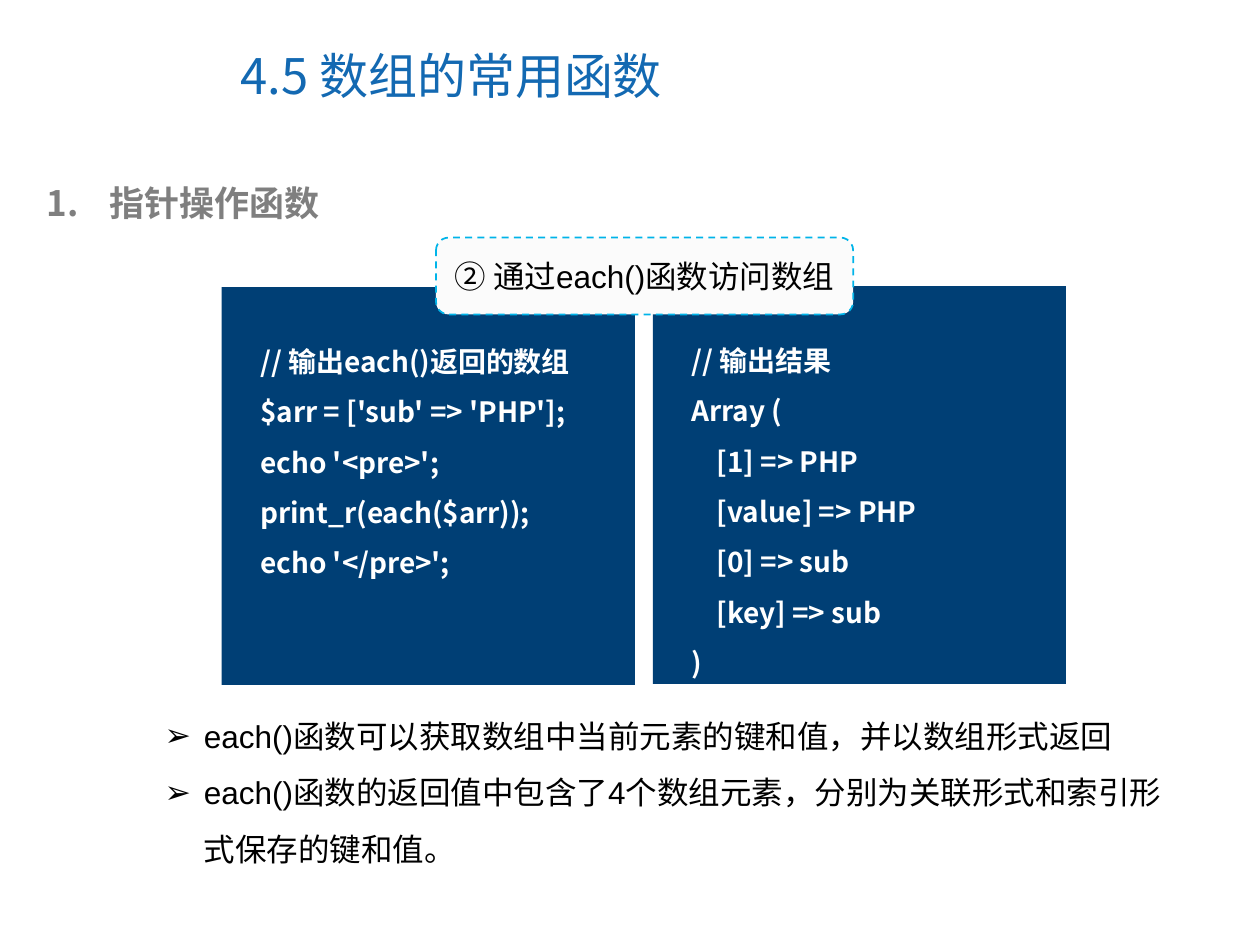
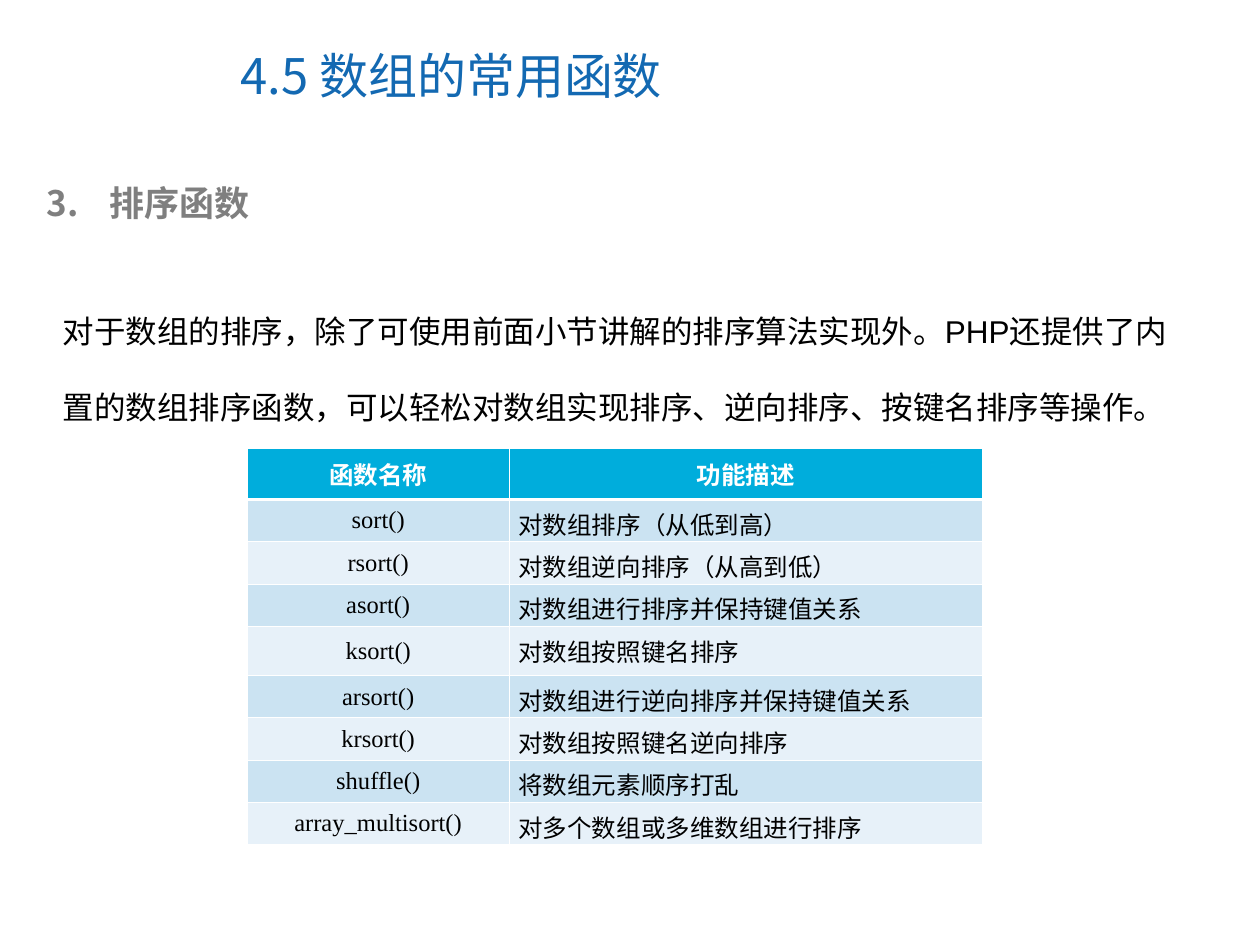
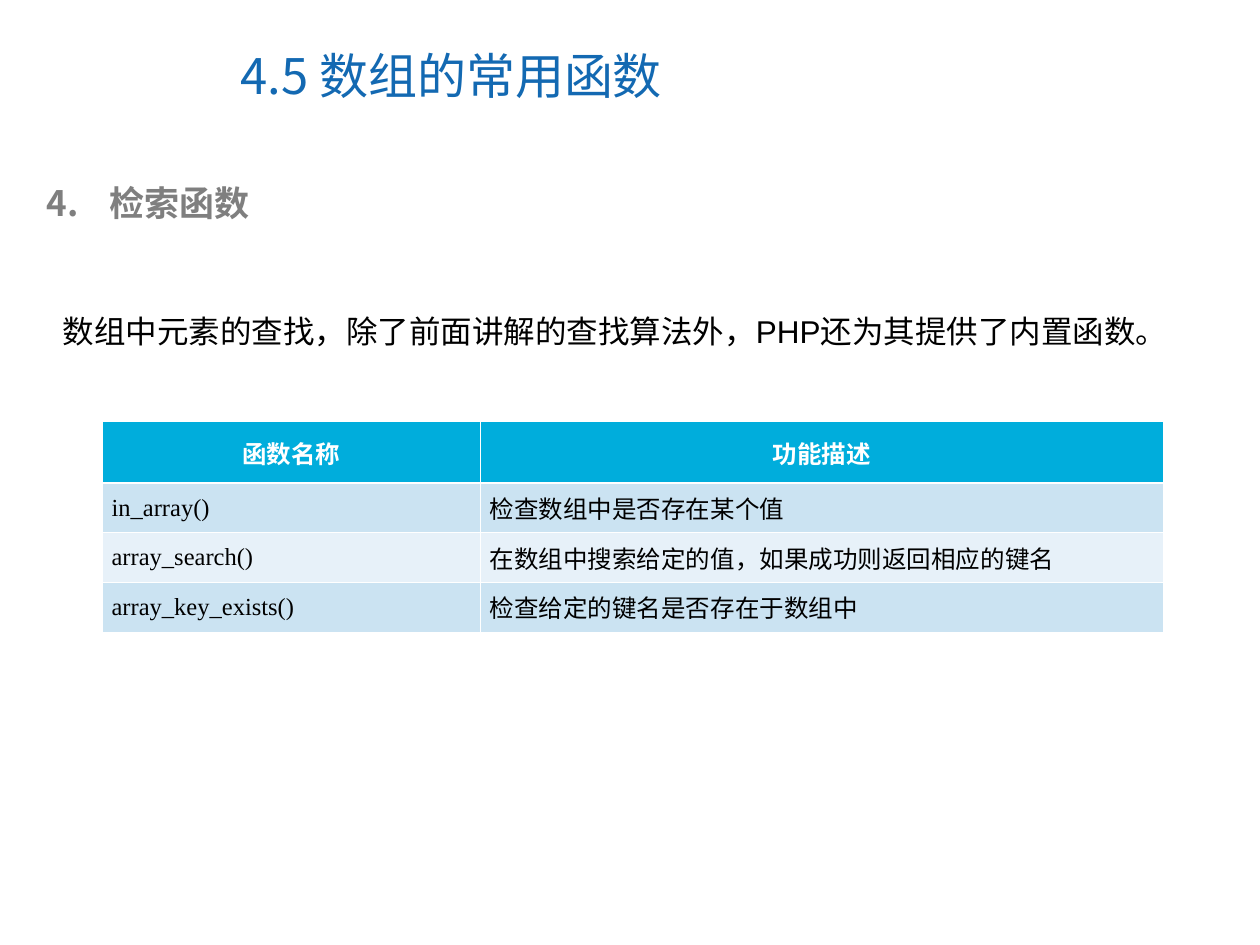
from lxml.etree import SubElement
from pptx import Presentation
from pptx.dml.color import RGBColor
from pptx.enum.dml import MSO_LINE
from pptx.enum.lang import MSO_LANGUAGE_ID
from pptx.enum.shapes import MSO_SHAPE
from pptx.enum.text import MSO_ANCHOR, PP_ALIGN
from pptx.oxml.ns import qn
from pptx.util import Cm, Pt

TITLE_BLUE = RGBColor(0x13, 0x69, 0xB2)
HEADING_GREY = RGBColor(0x7F, 0x7F, 0x7F)
PANEL_NAVY = RGBColor(0x00, 0x3F, 0x75)
LABEL_FILL = RGBColor(0xFB, 0xFB, 0xFB)
LABEL_LINE = RGBColor(0x00, 0xB4, 0xE9)
HEADER_CYAN = RGBColor(0x00, 0xAD, 0xDC)
BAND_DARK = RGBColor(0xCB, 0xE3, 0xF2)
BAND_LIGHT = RGBColor(0xE7, 0xF1, 0xF9)
WHITE = RGBColor(0xFF, 0xFF, 0xFF)
BLACK = RGBColor(0x00, 0x00, 0x00)

CHINESE_FONT = "Noto Sans CJK SC"
TITLE = {"name": CHINESE_FONT, "size": Pt(28), "color": TITLE_BLUE}
HEADING = {"name": CHINESE_FONT, "size": Pt(20), "color": HEADING_GREY, "bold": True}
CODE = {"name": CHINESE_FONT, "size": Pt(16), "color": WHITE, "bold": True}
BODY = {"name": "Arial", "size": Pt(18), "color": BLACK}
HEADER_NAME = {"name": "Cabin", "size": Pt(14), "color": WHITE, "bold": True}
HEADER_USE = {**HEADER_NAME, "name": CHINESE_FONT}
CELL = {"name": "Times New Roman", "size": Pt(14), "color": BLACK, "bold": False}

THIN, THICK = Pt(0.45), Pt(1.47)
ROW_HEIGHT = 1.0
COMPACT_HEIGHT = 0.85

TABLE_HEADER = ("函数名称", "功能描述")
SORT_FUNCTIONS = [
    ("sort()", "对数组排序（从低到高）"),
    ("rsort()", "对数组逆向排序（从高到低）"),
    ("asort()", "对数组进行排序并保持键值关系"),
    ("ksort()", "对数组按照键名排序"),
    ("arsort()", "对数组进行逆向排序并保持键值关系"),
    ("krsort()", "对数组按照键名逆向排序"),
    ("shuffle()", "将数组元素顺序打乱"),
    ("array_multisort()", "对多个数组或多维数组进行排序"),
]
SEARCH_FUNCTIONS = [
    ("in_array()", "检查数组中是否存在某个值"),
    ("array_search()", "在数组中搜索给定的值，如果成功则返回相应的键名"),
    ("array_key_exists()", "检查给定的键名是否存在于数组中"),
]
EACH_CODE = [
    "// 输出each()返回的数组",
    "$arr = ['sub' => 'PHP'];",
    "echo '<pre>';",
    "print_r(each($arr));",
    "echo '</pre>';",
]
EACH_RESULT = [
    "// 输出结果",
    "Array (",
    "    [1] => PHP",
    "    [value] => PHP",
    "    [0] => sub",
    "    [key] => sub",
    ")",
]
EACH_NOTES = [
    "each()函数可以获取数组中当前元素的键和值，并以数组形式返回",
    "each()函数的返回值中包含了4个数组元素，分别为关联形式和索引形式保存的键和值。",
]


def write(para, text, style):
    """Add a run in the style, with the Chinese font for East Asian letters."""
    span = para.add_run()
    span.text = text
    span.font.language_id = MSO_LANGUAGE_ID.SIMPLIFIED_CHINESE
    for key, value in style.items():
        if key == "color":
            span.font.color.rgb = value
        else:
            setattr(span.font, key, value)
    latin = span.font._element.find(qn("a:latin"))
    east_asian = latin.makeelement(qn("a:ea"), {"typeface": CHINESE_FONT})
    latin.addnext(east_asian)


def add_bullet(para, indent, tag, **values):
    properties = para._p.get_or_add_pPr()
    properties.set("marL", str(Cm(indent)))
    properties.set("indent", str(-Cm(indent)))
    SubElement(properties, qn("a:buFont"), typeface="Arial")
    SubElement(properties, qn(tag), **values)


def add_text(page, bounds, lines, style, spacing=1.0, bullet=None, anchor=MSO_ANCHOR.TOP):
    box = page.shapes.add_textbox(*map(Cm, bounds))
    frame = box.text_frame
    frame.word_wrap = True
    frame.vertical_anchor = anchor
    for index, line in enumerate(lines):
        para = frame.add_paragraph() if index else frame.paragraphs[0]
        if bullet:
            add_bullet(para, **bullet)
        para.line_spacing = spacing
        write(para, line, style)


def add_shape(page, kind, bounds, fill):
    shape = page.shapes.add_shape(kind, *map(Cm, bounds))
    shape.shadow.inherit = False
    shape.fill.solid()
    shape.fill.fore_color.rgb = fill
    shape.line.fill.background()
    return shape


def add_code_panel(page, left, top, lines):
    add_shape(page, MSO_SHAPE.RECTANGLE, (left, top, 8.33, 8.02), PANEL_NAVY)
    add_text(page, (left + 0.53, top + 0.69, 7.77, 7.3), lines, CODE, spacing=1.5)


def add_label(page, bounds, text):
    label = add_shape(page, MSO_SHAPE.ROUNDED_RECTANGLE, bounds, LABEL_FILL)
    label.line.color.rgb = LABEL_LINE
    label.line.width = Pt(1)
    label.line.dash_style = MSO_LINE.DASH
    frame = label.text_frame
    frame.word_wrap = True
    frame.vertical_anchor = MSO_ANCHOR.MIDDLE
    para = frame.paragraphs[0]
    para.alignment = PP_ALIGN.CENTER
    write(para, text, BODY)


def set_borders(cell, top, bottom):
    properties = cell._tc.get_or_add_tcPr()
    widths = {"a:lnL": THIN, "a:lnR": THIN, "a:lnT": top, "a:lnB": bottom}
    for position, (tag, width) in enumerate(widths.items()):
        line = properties.makeelement(qn(tag), {"w": str(width)})
        fill = SubElement(line, qn("a:solidFill"))
        SubElement(fill, qn("a:srgbClr"), val=str(WHITE))
        properties.insert(position, line)


def add_function_table(page, left, top, widths, heights, rows, name_alignment):
    records = [TABLE_HEADER, *rows]
    frame = page.shapes.add_table(
        len(records), len(widths), Cm(left), Cm(top), Cm(sum(widths)), Cm(sum(heights)))
    table = frame.table
    for column, width in zip(table.columns, widths):
        column.width = Cm(width)
    for index, (record, height) in enumerate(zip(records, heights)):
        table.rows[index].height = Cm(height)
        if index == 0:
            fill, styles = HEADER_CYAN, (HEADER_NAME, HEADER_USE)
            alignments = (PP_ALIGN.CENTER, PP_ALIGN.CENTER)
        else:
            fill, styles = (BAND_DARK if index % 2 else BAND_LIGHT), (CELL, CELL)
            alignments = (name_alignment, PP_ALIGN.LEFT)
        for column, text in enumerate(record):
            cell = table.cell(index, column)
            cell.vertical_anchor = MSO_ANCHOR.MIDDLE
            cell.margin_left = cell.margin_right = Cm(0.19)
            if column and height == COMPACT_HEIGHT:
                cell.margin_bottom = Cm(0)
            cell.fill.solid()
            cell.fill.fore_color.rgb = fill
            set_borders(cell, THICK if index == 1 else THIN, THICK if index == 0 else THIN)
            para = cell.text_frame.paragraphs[0]
            para.alignment = alignments[column]
            write(para, text, styles[column])


def add_page(deck, number, heading):
    """Add a slide with the section title and a numbered heading."""
    page = deck.slides.add_slide(deck.slide_layouts[6])
    add_text(page, (4.6, 0.43, 13.1, 2.16), ["4.5 数组的常用函数"], TITLE,
             anchor=MSO_ANCHOR.MIDDLE)
    numbering = {"indent": 1.27, "tag": "a:buAutoNum",
                 "type": "arabicPeriod", "startAt": str(number)}
    add_text(page, (0.69, 3.53, 23.42, 1.12), [heading], HEADING, bullet=numbering)
    return page


def add_intro(page, text, height):
    add_text(page, (1.02, 5.41, 23.34, height), [text], BODY, spacing=2.0)


def build_each_page(deck):
    page = add_page(deck, 1, "指针操作函数")
    add_code_panel(page, 4.47, 5.79, EACH_CODE)
    add_text(page, (3.07, 13.94, 21.03, 3.68), EACH_NOTES, BODY, spacing=1.5,
             bullet={"indent": 0.79, "tag": "a:buChar", "char": "➢"})
    add_code_panel(page, 13.16, 5.77, EACH_RESULT)
    add_label(page, (8.79, 4.79, 8.41, 1.55), "② 通过each()函数访问数组")


def build_sort_page(deck):
    page = add_page(deck, 3, "排序函数")
    add_intro(page, "对于数组的排序，除了可使用前面小节讲解的排序算法实现外。PHP还提供了内置的"
                    "数组排序函数，可以轻松对数组实现排序、逆向排序、按键名排序等操作。", 3.3)
    heights = [1.04] + [ROW_HEIGHT if name == "ksort()" else COMPACT_HEIGHT
                        for name, _ in SORT_FUNCTIONS]
    add_function_table(page, 4.99, 9.03, (5.27, 9.55), heights,
                       SORT_FUNCTIONS, PP_ALIGN.CENTER)


def build_search_page(deck):
    page = add_page(deck, 4, "检索函数")
    add_intro(page, "数组中元素的查找，除了前面讲解的查找算法外，PHP还为其提供了内置函数。", 1.78)
    heights = [1.24] + [ROW_HEIGHT] * len(SEARCH_FUNCTIONS)
    add_function_table(page, 2.06, 8.5, (7.62, 13.77), heights,
                       SEARCH_FUNCTIONS, PP_ALIGN.LEFT)


def main():
    deck = Presentation()
    deck.slide_width = Cm(25.4)
    deck.slide_height = Cm(19.05)
    build_each_page(deck)
    build_sort_page(deck)
    build_search_page(deck)
    deck.save("out.pptx")


if __name__ == "__main__":
    main()
